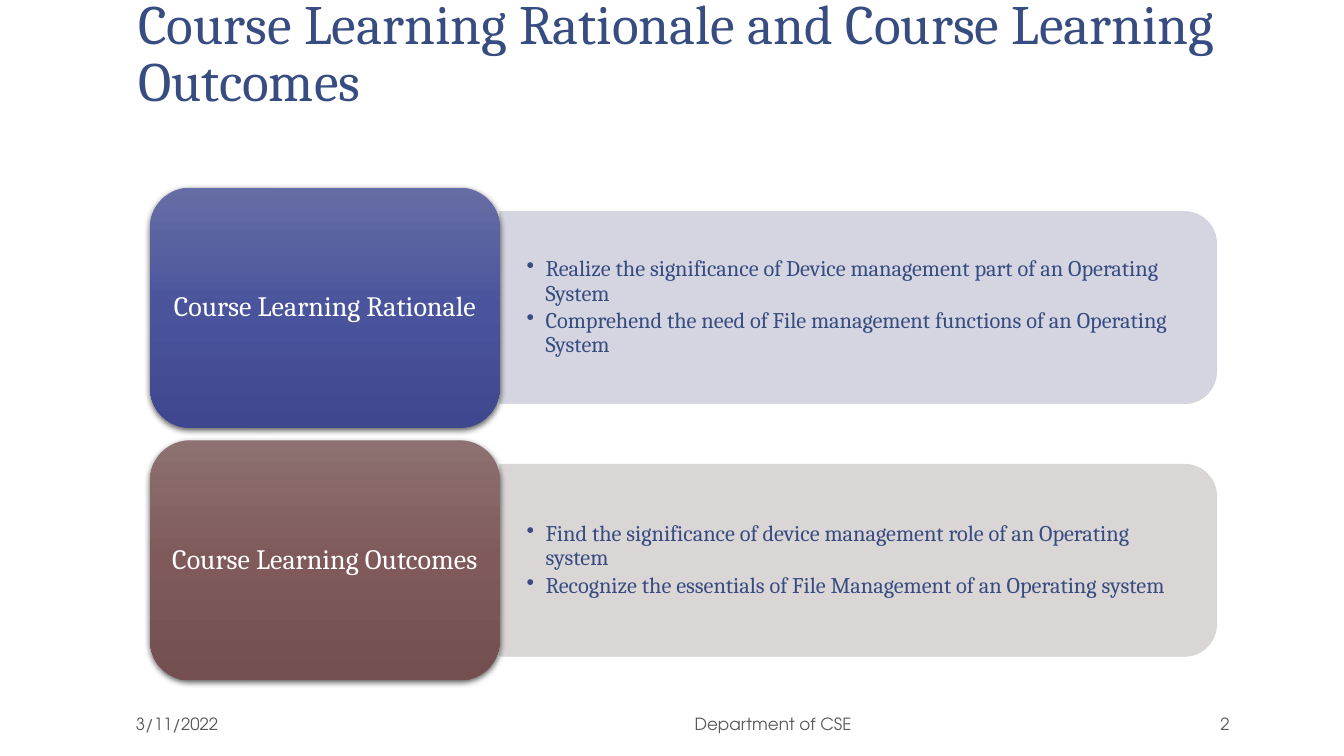
"""Build the slide on course learning rationale and outcomes."""
from dataclasses import dataclass, field
from typing import Any

from lxml.etree import SubElement
from pptx import Presentation
from pptx.dml.color import RGBColor
from pptx.enum.shapes import MSO_SHAPE
from pptx.enum.text import MSO_ANCHOR, PP_ALIGN
from pptx.oxml.ns import qn
from pptx.util import Pt


@dataclass(frozen=True)
class Theme:
    navy: str = "374C81"
    white: str = "FFFFFF"
    gray: str = "595959"
    black: str = "000000"
    serif: str = "Cambria"
    sans: str = "TeX Gyre Adventor"
    title: float = 39.6
    head: float = 20
    body: float = 16
    foot: float = 12


@dataclass(frozen=True)
class Box:
    left: float
    top: float
    width: float
    height: float

    def place(self) -> tuple[Pt, Pt, Pt, Pt]:
        return Pt(self.left), Pt(self.top), Pt(self.width), Pt(self.height)


@dataclass(frozen=True)
class Style:
    face: str
    size: float
    color: str
    pad: tuple[float, float]
    anchor: MSO_ANCHOR
    para: dict[str, Any] = field(default_factory=dict)
    dots: bool = False


@dataclass(frozen=True)
class Topic:
    head: str
    points: tuple[str, ...]
    shades: tuple[str, str, str]
    tint: str


@dataclass(frozen=True)
class Note:
    text: str
    left: float
    width: float
    align: PP_ALIGN


THEME = Theme()
WIDE, HIGH = 960, 540
TOP, PITCH = 134, 180.5
HEAD_LEFT, HEAD_WIDE, HEAD_HIGH = 107.2, 249.8, 171.5
BAR_WIDE, BAR_HIGH = 512, 137.2
LIST_WIDE, LIST_HIGH = 505.4, 123.8
INDENT = 13.5

TITLE = Style(THEME.serif, THEME.title, THEME.navy, (9.36, 0),
              MSO_ANCHOR.BOTTOM, {"line_spacing": 0.85})
HEAD = Style(THEME.serif, THEME.head, THEME.white, (5.76, 2.88),
             MSO_ANCHOR.MIDDLE,
             {"line_spacing": 0.9, "alignment": PP_ALIGN.CENTER})
LIST = Style(THEME.serif, THEME.body, THEME.navy, (19.2, 9.6),
             MSO_ANCHOR.MIDDLE,
             {"line_spacing": 0.9, "space_after": Pt(2.4)}, True)

TOPICS = (
    Topic("Course Learning Rationale",
          ("Realize the significance of Device management part of an Operating System",
           "Comprehend the need of File management functions of an Operating System"),
          ("666DA4", "4A549C", "3F488E"), "D0D1DD"),
    Topic("Course Learning Outcomes",
          ("Find the significance of device management role of an Operating system",
           "Recognize the essentials of File Management of an Operating system"),
          ("8D7171", "805A5A", "734F4F"), "D7D2D2"),
)
NOTES = (
    Note("3/11/2022", 87.8, 216, PP_ALIGN.LEFT),
    Note("Department of CSE", 307.4, 489.6, PP_ALIGN.CENTER),
    Note("2", 800.6, 87.1, PP_ALIGN.RIGHT),
)


def apply(target: Any, values: dict[str, Any]) -> None:
    for name, value in values.items():
        setattr(target, name, value)


def write(shape: Any, lines: tuple[str, ...], style: Style) -> None:
    frame = shape.text_frame
    side, edge = map(Pt, style.pad)
    apply(frame, {"word_wrap": True, "vertical_anchor": style.anchor,
                  "margin_left": side, "margin_right": side,
                  "margin_top": edge, "margin_bottom": edge})
    for index, line in enumerate(lines):
        para = frame.paragraphs[0] if index == 0 else frame.add_paragraph()
        if style.dots:
            props = para._p.get_or_add_pPr()
            props.set("marL", str(Pt(INDENT)))
            props.set("indent", str(-Pt(INDENT)))
            SubElement(props, qn("a:buChar"), char="•")
        apply(para, style.para)
        run = para.add_run()
        run.text = line
        apply(run.font, {"name": style.face, "size": Pt(style.size)})
        run.font.color.rgb = RGBColor.from_string(style.color)


def label(slide: Any, box: Box, lines: tuple[str, ...], style: Style) -> None:
    write(slide.shapes.add_textbox(*box.place()), lines, style)


def tone(parent: Any, color: str, alpha: int) -> None:
    node = SubElement(parent, qn("a:srgbClr"), val=color)
    SubElement(node, qn("a:alpha"), val=str(alpha * 1000))


def draw_bar(slide: Any, mid: float, tint: str) -> None:
    center = HEAD_LEFT + HEAD_WIDE + BAR_WIDE / 2
    box = Box(center - BAR_HIGH / 2, mid - BAR_WIDE / 2, BAR_HIGH, BAR_WIDE)
    bar = slide.shapes.add_shape(MSO_SHAPE.ROUND_2_SAME_RECTANGLE, *box.place())
    bar.rotation = 90
    bar.shadow.inherit = False
    bar.line.width = Pt(0.5)
    for fill in (bar.fill, bar.line.fill):
        fill.solid()
        fill.fore_color.rgb = RGBColor.from_string(tint)
    for node in bar._element.spPr.iter(qn("a:srgbClr")):
        SubElement(node, qn("a:alpha"), val="90000")


def draw_head(slide: Any, top: float, topic: Topic) -> None:
    box = Box(HEAD_LEFT, top, HEAD_WIDE, HEAD_HIGH)
    head = slide.shapes.add_shape(MSO_SHAPE.ROUNDED_RECTANGLE, *box.place())
    head.fill.gradient()
    head.fill.gradient_angle = 270
    head.line.fill.background()
    head.shadow.inherit = False
    props = head._element.spPr
    stops = props.find(".//" + qn("a:gsLst"))
    stops.clear()
    for index, shade in enumerate(topic.shades):
        stop = SubElement(stops, qn("a:gs"), pos=str(index * 50000))
        tone(stop, shade, 100)
    cast = SubElement(props.find(qn("a:effectLst")), qn("a:outerShdw"),
                      blurRad=str(Pt(4.5)), dist=str(Pt(1.5)),
                      dir="5400000", rotWithShape="0")
    tone(cast, THEME.black, 63)
    write(head, (topic.head,), HEAD)


def draw_topic(slide: Any, top: float, topic: Topic) -> None:
    mid = top + HEAD_HIGH / 2
    draw_bar(slide, mid, topic.tint)
    box = Box(HEAD_LEFT + HEAD_WIDE, mid - LIST_HIGH / 2, LIST_WIDE, LIST_HIGH)
    label(slide, box, topic.points, LIST)
    draw_head(slide, top, topic)


def draw_note(slide: Any, note: Note) -> None:
    style = Style(THEME.sans, THEME.foot, THEME.gray, (9.36, 5.04),
                  MSO_ANCHOR.BOTTOM, {"alignment": note.align})
    label(slide, Box(note.left, 504, note.width, 25.2), (note.text,), style)


def main() -> None:
    deck = Presentation()
    apply(deck, {"slide_width": Pt(WIDE), "slide_height": Pt(HIGH)})
    slide = deck.slides.add_slide(deck.slide_layouts[6])
    label(slide, Box(89.3, 0, 800, 80.6),
          ("Course Learning Rationale and Course Learning Outcomes",), TITLE)
    for index, topic in enumerate(TOPICS):
        draw_topic(slide, TOP + index * PITCH, topic)
    for note in NOTES:
        draw_note(slide, note)
    deck.save("out.pptx")


if __name__ == "__main__":
    main()
